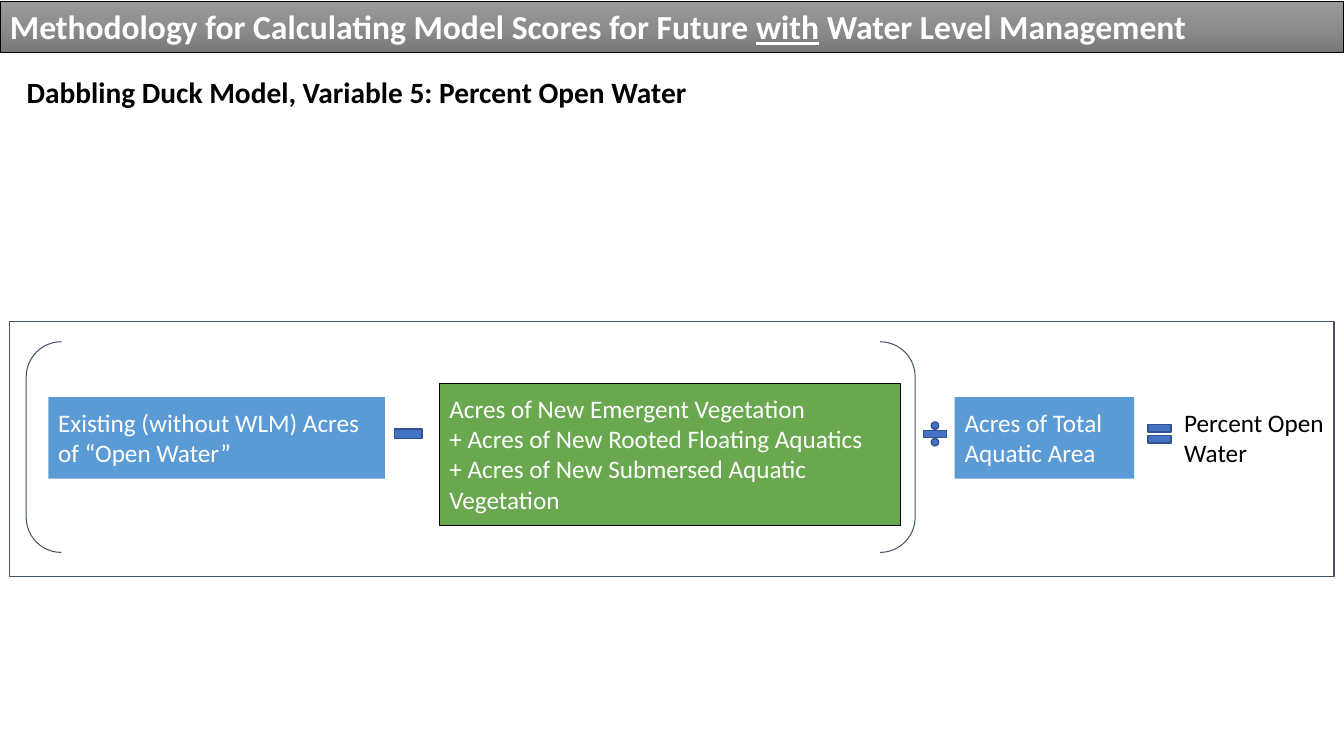
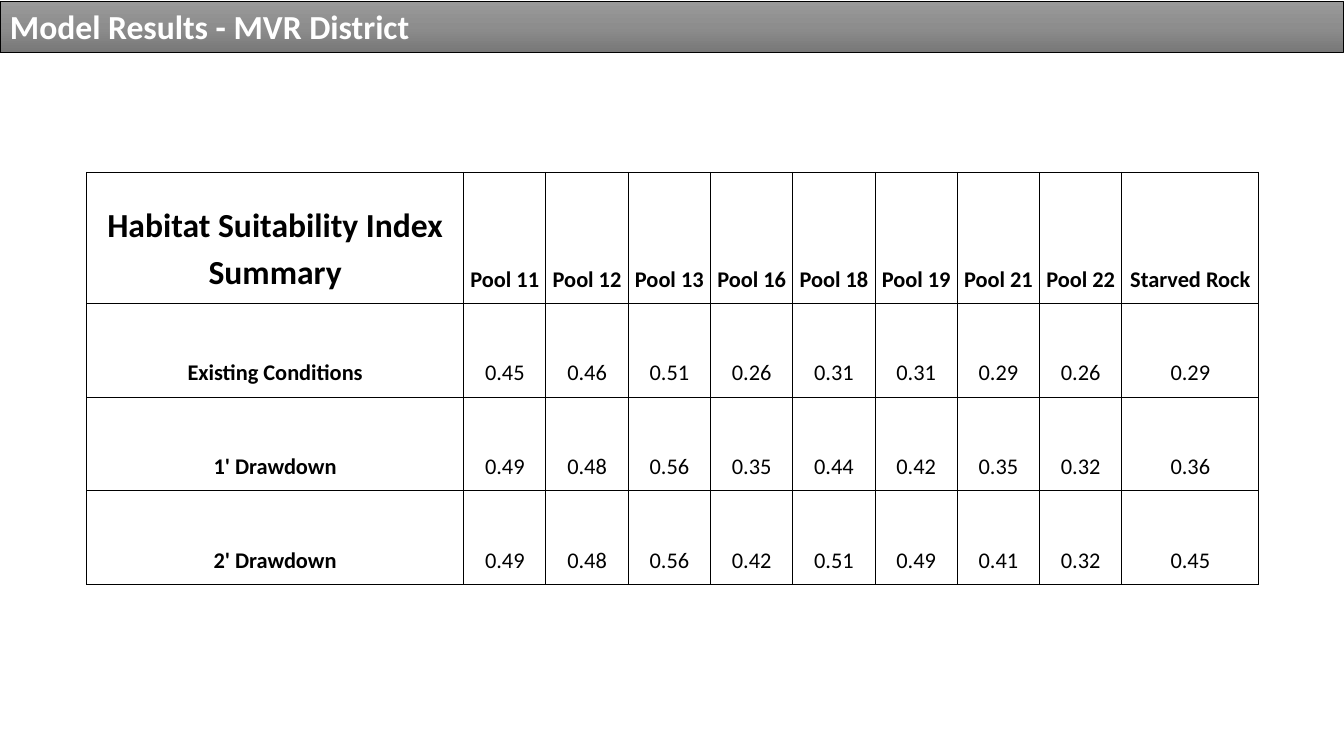
import copy

import pptx
import pptx.dml.color
import pptx.enum.dml
import pptx.enum.shapes
import pptx.enum.text
import pptx.oxml
import pptx.oxml.ns
import pptx.util

Pt = pptx.util.Pt
qn = pptx.oxml.ns.qn
SHAPE = pptx.enum.shapes.MSO_SHAPE
ALIGN = pptx.enum.text.PP_ALIGN
ANCHOR = pptx.enum.text.MSO_ANCHOR

SLIDE_WIDTH, SLIDE_HEIGHT = 960, 540
BLACK, WHITE = "000000", "FFFFFF"
BLUE, GREEN = "5B9BD5", "6AA84F"
OPERATOR_FILL, OPERATOR_LINE = "4472C4", "31538F"
OUTLINE = "44546A"
BAND_STOPS = [(0, "9A9A9A"), (0.5, "8D8D8D"), (1, "787878")]
TITLE_FONT = {"size": Pt(24), "bold": True}
SUBTITLE_FONT = {"size": Pt(21), "bold": True}
TERM_FONT = {"size": Pt(18), "bold": False}
HEADING_FONT = {"size": Pt(16), "bold": True}
VALUE_FONT = {"size": Pt(16), "bold": False}


def rgb(hex_color):
    return pptx.dml.color.RGBColor.from_string(hex_color)


def set_all(target, values):
    for name, value in values.items():
        setattr(target, name, value)


def add_run(paragraph, text, color, font_values):
    run = paragraph.add_run()
    run.text = text
    set_all(run.font, {"name": "Calibri", **font_values})
    run.font.color.rgb = rgb(color)


def write(shape, paragraphs, color, font_values, inset_y=7.2):
    """Fill a shape with paragraphs, each a list of (text, underline) runs or a string."""
    frame = shape.text_frame
    set_all(frame, {
        "word_wrap": True, "vertical_anchor": ANCHOR.TOP,
        "auto_size": pptx.enum.text.MSO_AUTO_SIZE.SHAPE_TO_FIT_TEXT,
        "margin_left": Pt(7.2), "margin_right": Pt(7.2),
        "margin_top": Pt(inset_y), "margin_bottom": Pt(inset_y),
    })
    for index, runs in enumerate(paragraphs):
        paragraph = frame.add_paragraph() if index else frame.paragraphs[0]
        paragraph.alignment = ALIGN.LEFT
        for text, underline in [(runs, False)] if isinstance(runs, str) else runs:
            add_run(paragraph, text, color, {**font_values, "underline": underline})


def add_shape(slide, kind, box, fill=None, line=None, line_width=0.75):
    shape = slide.shapes.add_shape(kind, *map(Pt, box))
    shape.shadow.inherit = False
    if fill:
        shape.fill.solid()
        shape.fill.fore_color.rgb = rgb(fill)
    else:
        shape.fill.background()
    if line:
        shape.line.color.rgb = rgb(line)
        shape.line.width = Pt(line_width)
    else:
        shape.line.fill.background()
    return shape


def add_text(slide, box, text, color, font_values):
    write(slide.shapes.add_textbox(*map(Pt, box)), [text], color, font_values)


def add_title_band(slide, title_runs):
    band = add_shape(slide, SHAPE.RECTANGLE, (0, 1, SLIDE_WIDTH, 36.5), line=BLACK)
    band.fill.gradient()
    band.fill.gradient_angle = 270
    stop_list = band.fill._xPr.find(qn("a:gradFill")).find(qn("a:gsLst"))
    stop_list.insert(1, copy.deepcopy(stop_list[0]))
    for stop, (position, color) in zip(band.fill.gradient_stops, BAND_STOPS):
        stop.position = position
        stop.color.rgb = rgb(color)
    write(band, [title_runs], WHITE, TITLE_FONT, inset_y=3.6)


def add_formula(slide, left, top, width, height):
    """Draw the open water formula inside its outlined frame."""
    def part(kind, x, y, w, h, **style):
        return add_shape(slide, kind, (left + x, top + y, w, h), **style)

    part(SHAPE.RECTANGLE, 0, 0, width, height, line=OUTLINE)
    part(SHAPE.DOUBLE_BRACKET, 12.2, 14.5, 635, 150.5, line=OUTLINE)

    terms = [
        (28, 54, 240.5, 58.3, BLUE, None,
         ["Existing (without WLM) Acres of “Open Water”"]),
        (307.4, 44, 329.2, 101.5, GREEN, BLACK,
         ["Acres of New Emergent Vegetation",
          "+ Acres of New Rooted Floating Aquatics",
          "+ Acres of New Submersed Aquatic Vegetation"]),
        (675.4, 54, 128.2, 58.3, BLUE, None, ["Acres of Total Aquatic Area"]),
    ]
    for x, y, w, h, fill, line, paragraphs in terms:
        term = part(SHAPE.RECTANGLE, x, y, w, h, fill=fill, line=line)
        write(term, paragraphs, WHITE, TERM_FONT)

    operators = [
        (SHAPE.MATH_MINUS, 272, 66.2, 26.6, 28),
        (SHAPE.MATH_DIVIDE, 650.2, 69.2, 22.3, 22.3),
        (SHAPE.MATH_EQUAL, 810.6, 69.2, 22.3, 22.3),
    ]
    for operator in operators:
        part(*operator, fill=OPERATOR_FILL, line=OPERATOR_LINE, line_width=1)

    result_left = left + 832.3
    add_text(slide, (result_left, top + 54, SLIDE_WIDTH - result_left, 58.3),
             "Percent Open Water", BLACK, TERM_FONT)


def add_cell_borders(cell):
    properties = cell._tc.get_or_add_tcPr()
    for index, side in enumerate(("lnL", "lnR", "lnT", "lnB")):
        properties.insert(index, pptx.oxml.parse_xml(
            f'<a:{side} {pptx.oxml.ns.nsdecls("a")} w="{Pt(0.75)}"><a:solidFill>'
            f'<a:srgbClr val="{BLACK}"/></a:solidFill></a:{side}>'))


def add_results_table(slide, left, top, rows):
    column_widths = [269.3] + [58.77] * 8 + [97.9]
    row_heights = [93.6] + [66.9] * 3
    table = slide.shapes.add_table(
        len(rows), len(column_widths), Pt(left), Pt(top),
        Pt(sum(column_widths)), Pt(sum(row_heights))).table
    set_all(table, {"first_row": False, "horz_banding": False})
    for column, width in zip(table.columns, column_widths):
        column.width = Pt(width)
    for row, height in zip(table.rows, row_heights):
        row.height = Pt(height)
    for row_index, row in enumerate(rows):
        for column_index, text in enumerate(row):
            cell = table.cell(row_index, column_index)
            cell.fill.background()
            add_cell_borders(cell)
            set_all(cell, {
                "vertical_anchor": ANCHOR.BOTTOM,
                "margin_left": Pt(2), "margin_right": Pt(2),
                "margin_top": Pt(7.2), "margin_bottom": Pt(7.2),
            })
            paragraph = cell.text_frame.paragraphs[0]
            set_all(paragraph, {"alignment": ALIGN.CENTER, "line_spacing": 1.15})
            if row_index == column_index == 0:
                font_values = TITLE_FONT
            elif row_index == 0 or column_index == 0:
                font_values = HEADING_FONT
            else:
                font_values = VALUE_FONT
            add_run(paragraph, text, BLACK, font_values)


def build_methodology(slide):
    add_title_band(slide, [
        ("Methodology for Calculating Model Scores for Future ", False),
        ("with", True), (" Water Level Management", False)])
    add_text(slide, (12, 45.4, 946, 57),
             "Dabbling Duck Model, Variable 5: Percent Open Water", BLACK, SUBTITLE_FONT)
    add_formula(slide, 6.5, 229.6, 946.4, 182)


def build_results(slide):
    add_title_band(slide, "Model Results - MVR District")
    pools = [f"Pool {number}" for number in (11, 12, 13, 16, 18, 19, 21, 22)]
    add_results_table(slide, 61.9, 123.1, [
        ["Habitat Suitability Index Summary", *pools, "Starved Rock"],
        ["Existing Conditions",
         "0.45", "0.46", "0.51", "0.26", "0.31", "0.31", "0.29", "0.26", "0.29"],
        ["1' Drawdown",
         "0.49", "0.48", "0.56", "0.35", "0.44", "0.42", "0.35", "0.32", "0.36"],
        ["2' Drawdown",
         "0.49", "0.48", "0.56", "0.42", "0.51", "0.49", "0.41", "0.32", "0.45"],
    ])


def main():
    deck = pptx.Presentation()
    set_all(deck, {"slide_width": Pt(SLIDE_WIDTH), "slide_height": Pt(SLIDE_HEIGHT)})
    for build in (build_methodology, build_results):
        build(deck.slides.add_slide(deck.slide_layouts[6]))
    deck.save("out.pptx")


if __name__ == "__main__":
    main()
